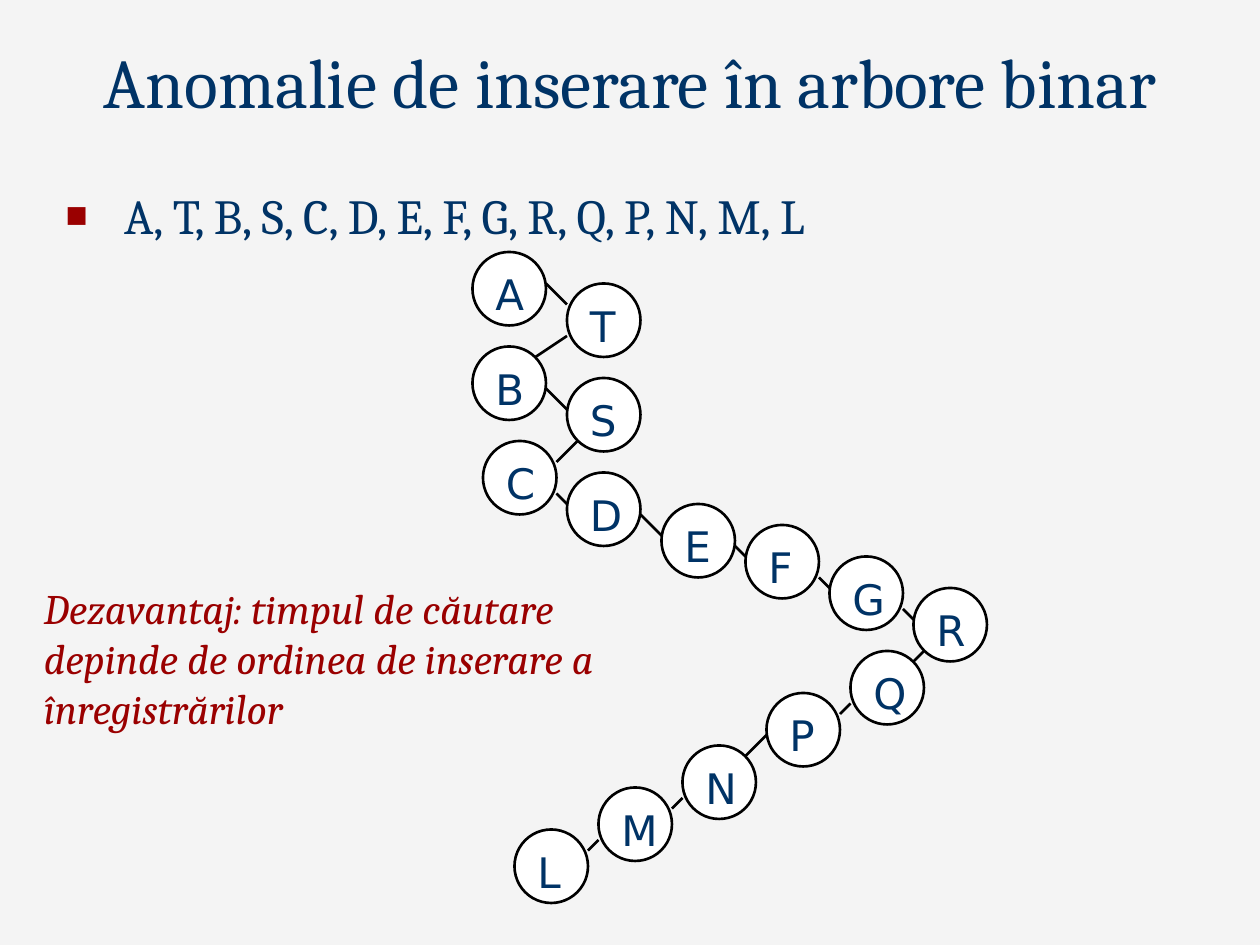
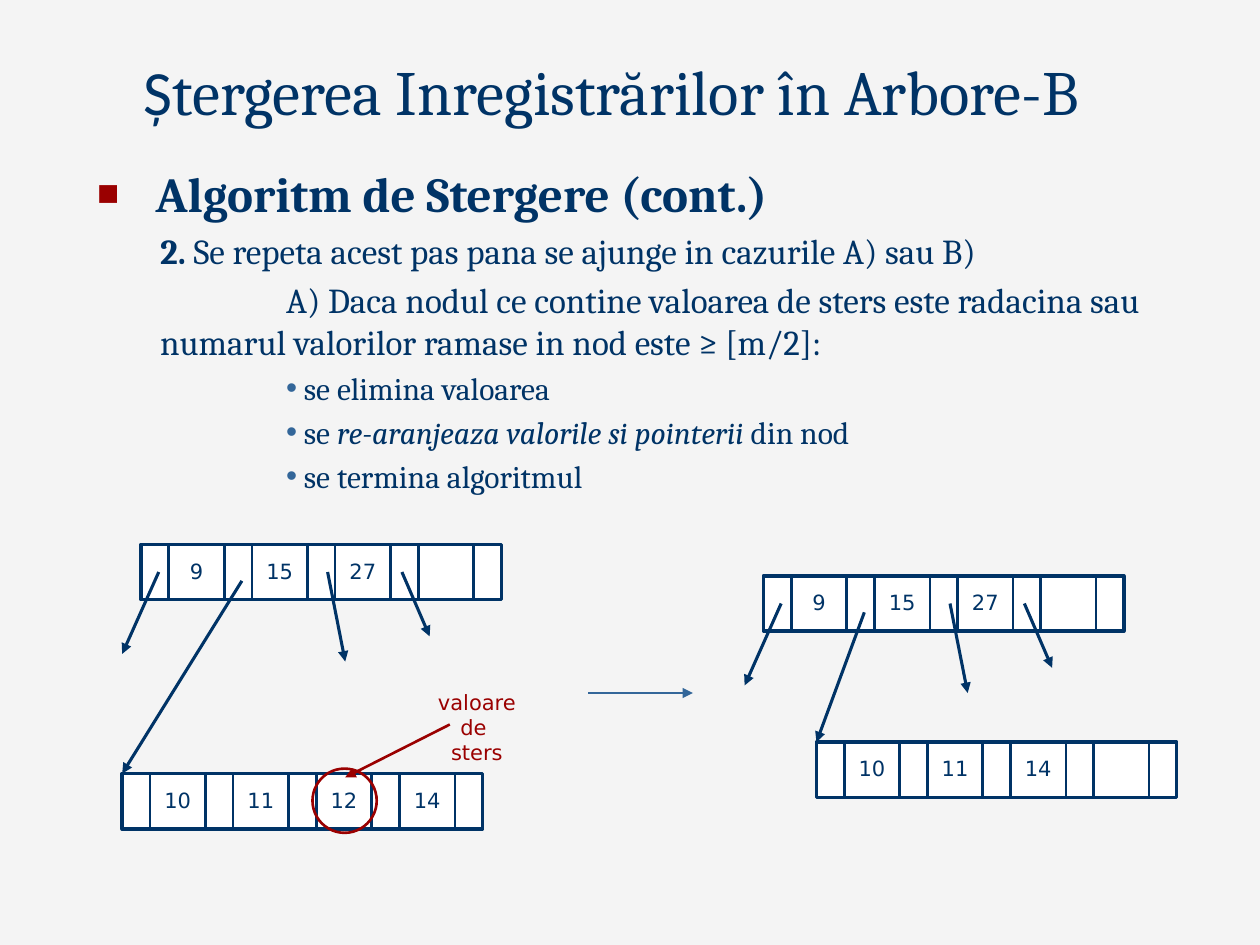
"""Builds two slides on insertion and deletion in search trees."""
import lxml.etree
import pptx
import pptx.dml.color
import pptx.enum.shapes
import pptx.enum.text
import pptx.oxml.ns
import pptx.util

SERIF, SANS, CALIBRI = "Cambria", "DejaVu Sans", "Calibri"
NAVY, RED, BLUE, BLACK, WHITE, PAPER = "003366", "9A0000", "336699", "000000", "FFFFFF", "F4F4F4"
SHAPES = pptx.enum.shapes.MSO_SHAPE
LEFT = pptx.enum.text.PP_ALIGN.LEFT
CENTER = pptx.enum.text.PP_ALIGN.CENTER

SQUARE = ("■", RED, 75)
DOT = ("•", BLUE, 100)
HEADING = {"level": 0, "margin": 0.38, "indent": -0.38, "bullet": SQUARE, "size": 28}
STEP = {"level": 1, "margin": 0.5, "indent": 0, "bullet": None, "size": 20}
CASE = {**STEP, "indent": 1}
ACTION = {"level": 3, "margin": 1.5, "indent": 0, "bullet": DOT, "size": 18}

INSERTION = {
    "title": [("Anomalie de inserare în arbore binar", {})],
    "title_box": (0, 0.25, 10, 0.77),
    "title_size": 40,
    "body_box": (0.42, 1.42, 8.46, 0.5),
    "body": [(HEADING, [(" A, T, B, S, C, D, E, F, G, R, Q, P, N, M, L", {})])],
}
DELETION = {
    "title": [("Ș", {"font": CALIBRI}), ("tergerea Inregistrărilor în Arbore-B", {})],
    "title_box": (0.65, 0.36, 8.4, 0.71),
    "title_size": 36,
    "body_box": (0.67, 1.25, 9.25, 2.17),
    "body": [
        (HEADING, [(" ", {}), ("Algoritm de Stergere (cont.)", {"bold": True})]),
        (STEP, [("2. ", {"bold": True}),
                ("Se repeta acest pas pana se ajunge in cazurile A) sau B)", {})]),
        (CASE, [("A) Daca nodul ce contine valoarea de sters este radacina sau "
                 "numarul valorilor ramase in nod este ≥ [m/2]:", {})]),
        (ACTION, [(" se elimina valoarea", {})]),
        (ACTION, [(" se ", {}), ("re-aranjeaza valorile si pointerii", {"italic": True}),
                  (" din nod", {})]),
        (ACTION, [(" se termina algoritmul", {})]),
    ],
}

DRAWBACK = "Dezavantaj: timpul de căutare depinde de ordinea de inserare a înregistrărilor"

TREE_UNIT = 1 / 12
CIRCLE = 7
TREE_NODES = [
    ("A", 45, 24), ("T", 54, 27), ("B", 45, 33), ("S", 54, 36), ("C", 46, 42),
    ("D", 54, 45), ("E", 63, 48), ("F", 71, 50), ("G", 79, 53), ("R", 87, 56),
    ("Q", 81, 62), ("P", 73, 66), ("N", 65, 71), ("M", 57, 75), ("L", 49, 79),
]
TREE_LINKS = [
    ((52, 27), (54, 29)), ((54, 32), (51, 34)), ((52, 37), (54, 39)), ((55, 42), (53, 44)),
    ((53, 47), (54, 48)), ((61, 49), (63, 51)), ((70, 52), (71, 53)), ((78, 55), (79, 56)),
    ((86, 58), (87, 59)), ((88, 62), (87, 63)), ((81, 67), (80, 68)), ((73, 70), (71, 72)),
    ((65, 76), (64, 77)), ((57, 80), (56, 81)),
]

POINTER, KEY, SLOTS = 0.22, 0.44, 4
PARENT_KEYS = ["9", "15", "27"]
BEFORE = {"parent": (1.12, 4.32), "child": (0.97, 6.14), "keys": ["10", "11", "12", "14"]}
AFTER = {"parent": (6.06, 4.57), "child": (6.48, 5.89), "keys": ["10", "11", "14"]}
CHILD_POINTER = (0.8, 0.29)
OPEN_POINTERS = [
    ((0.14, 0.22), (-0.15, 0.87)),
    ((1.48, 0.22), (1.62, 0.93)),
    ((2.07, 0.22), (2.29, 0.73)),
]


def color(value):
    return pptx.dml.color.RGBColor.from_string(value)


def inches(*lengths):
    return [pptx.util.Inches(length) for length in lengths]


def shifted(origin, offset):
    return origin[0] + offset[0], origin[1] + offset[1]


def add_span(para, text, size, font=SERIF, ink=NAVY, bold=False, italic=False):
    span = para.add_run()
    span.text = text
    span.font.name = font
    span.font.size = pptx.util.Pt(size)
    span.font.color.rgb = color(ink)
    span.font.bold = bold
    span.font.italic = italic


def set_bullet(para, margin, indent, bullet):
    properties = para._p.get_or_add_pPr()
    properties.set("marL", str(pptx.util.Inches(margin)))
    properties.set("indent", str(pptx.util.Inches(indent)))

    def add(parent, tag, **attributes):
        return lxml.etree.SubElement(parent, pptx.oxml.ns.qn(tag), **attributes)

    spacing = add(properties, "a:spcBef")
    add(spacing, "a:spcPct", val="20000")
    if bullet is None:
        add(properties, "a:buNone")
        return
    mark, ink, percent = bullet
    add(add(properties, "a:buClr"), "a:srgbClr", val=ink)
    add(properties, "a:buSzPct", val=str(percent * 1000))
    add(properties, "a:buChar", char=mark)


def place(box, area, anchor):
    box.left, box.top, box.width, box.height = inches(*area)
    frame = box.text_frame
    frame.word_wrap = True
    frame.auto_size = pptx.enum.text.MSO_AUTO_SIZE.NONE
    frame.vertical_anchor = anchor
    return frame


def add_page(deck, content):
    page = deck.slides.add_slide(deck.slide_layouts[1])
    title = place(page.shapes.title, content["title_box"], pptx.enum.text.MSO_ANCHOR.BOTTOM)
    title.paragraphs[0].alignment = CENTER
    for text, style in content["title"]:
        add_span(title.paragraphs[0], text, content["title_size"], **style)
    body = place(page.placeholders[1], content["body_box"], pptx.enum.text.MSO_ANCHOR.TOP)
    for index, (rank, spans) in enumerate(content["body"]):
        para = body.add_paragraph() if index else body.paragraphs[0]
        para.level = rank["level"]
        set_bullet(para, rank["margin"], rank["indent"], rank["bullet"])
        for text, style in spans:
            add_span(para, text, rank["size"], **style)
    return page


def add_label(page, area, lines, size, align=LEFT, **style):
    box = page.shapes.add_textbox(*inches(*area))
    box.text_frame.word_wrap = True
    para = box.text_frame.paragraphs[0]
    para.alignment = align
    for index, line in enumerate(lines):
        if index:
            para.add_line_break()
        add_span(para, line, size, **style)


def add_outline(page, kind, area, ink, weight, fill=None):
    shape = page.shapes.add_shape(kind, *inches(*area))
    shape.shadow.inherit = False
    if fill:
        shape.fill.solid()
        shape.fill.fore_color.rgb = color(fill)
    else:
        shape.fill.background()
    shape.line.color.rgb = color(ink)
    shape.line.width = pptx.util.Pt(weight)


def add_line(page, start, end, ink, weight=1.5, arrow=False):
    straight = pptx.enum.shapes.MSO_CONNECTOR.STRAIGHT
    line = page.shapes.add_connector(straight, *inches(*start, *end))
    line.line.color.rgb = color(ink)
    line.line.width = pptx.util.Pt(weight)
    if arrow:
        outline = line.line._get_or_add_ln()
        lxml.etree.SubElement(outline, pptx.oxml.ns.qn("a:tailEnd"), type="triangle")
    lxml.etree.SubElement(line._element.spPr, pptx.oxml.ns.qn("a:effectLst"))


def draw_tree(page):
    def scaled(*units):
        return [unit * TREE_UNIT for unit in units]

    for letter, left, top in TREE_NODES:
        add_outline(page, SHAPES.OVAL, scaled(left, top, CIRCLE, CIRCLE), BLACK, 1.5, WHITE)
        add_label(page, scaled(left + 1, top + 1, 5, 6), [letter], 24, font=SANS)
    for start, end in TREE_LINKS:
        add_line(page, scaled(*start), scaled(*end), BLACK)


def draw_node(page, corner, keys):
    left, top = corner
    width = SLOTS * (POINTER + KEY) + POINTER
    add_outline(page, SHAPES.RECTANGLE, (left, top, width, KEY), NAVY, 2, WHITE)
    for slot in range(SLOTS):
        key_left = left + POINTER + slot * (POINTER + KEY)
        for x in (key_left, key_left + KEY):
            add_line(page, (x, top + 0.01), (x, top + 0.01 + KEY), NAVY)
        if slot < len(keys):
            area = (key_left, top + 0.06, KEY, 0.3)
            add_label(page, area, [keys[slot]], 12, CENTER, font=SANS)


def draw_state(page, state):
    parent, child = state["parent"], state["child"]
    draw_node(page, parent, PARENT_KEYS)
    draw_node(page, child, state["keys"])
    add_line(page, shifted(parent, CHILD_POINTER), child, NAVY, 1.75, True)
    for start, end in OPEN_POINTERS:
        add_line(page, shifted(parent, start), shifted(parent, end), NAVY, 1.75, True)


def main():
    deck = pptx.Presentation()
    deck.slide_width, deck.slide_height = inches(10, 7.5)
    background = deck.slide_master.background.fill
    background.solid()
    background.fore_color.rgb = color(PAPER)

    page = add_page(deck, INSERTION)
    draw_tree(page)
    add_label(page, (0.25, 4.57, 5, 1.31), [DRAWBACK], 24, ink=RED, italic=True)

    page = add_page(deck, DELETION)
    for state in (BEFORE, AFTER):
        draw_state(page, state)
    add_outline(page, SHAPES.OVAL, (2.48, 6.1, 0.51, 0.51), RED, 1.5)
    add_line(page, (3.57, 5.75), (2.74, 6.17), RED, arrow=True)
    add_label(page, (3.32, 5.42, 0.93, 0.71), ["valoare de ", "sters"], 12, CENTER,
              font=SANS, ink=RED)
    add_line(page, (4.67, 5.5), (5.5, 5.5), BLUE, arrow=True)

    deck.save("out.pptx")


if __name__ == "__main__":
    main()
